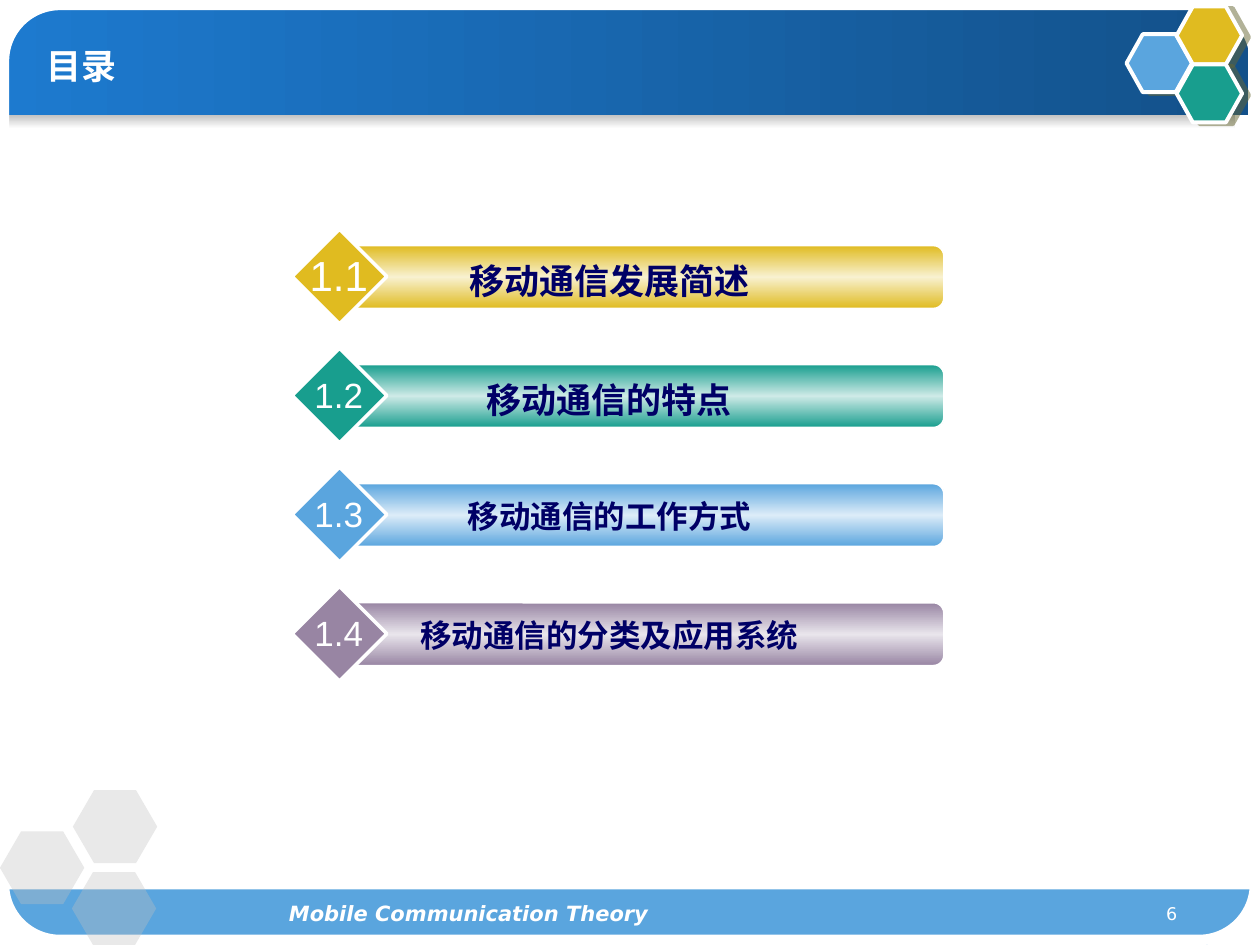
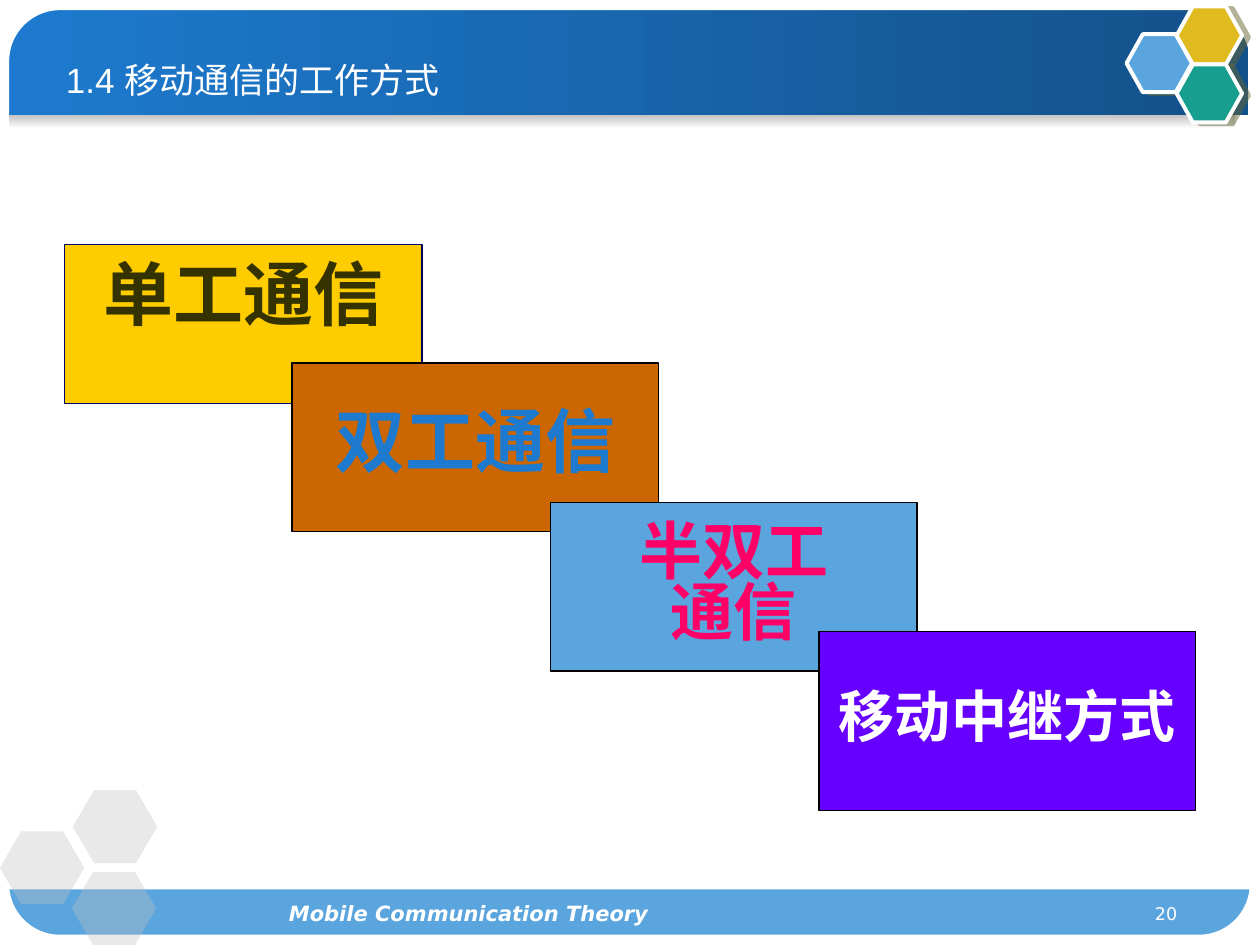
from copy import deepcopy

from lxml.etree import SubElement
from pptx import Presentation
from pptx.dml.color import RGBColor
from pptx.enum.shapes import MSO_SHAPE
from pptx.enum.text import MSO_ANCHOR, PP_ALIGN
from pptx.oxml.ns import qn
from pptx.util import Cm, Pt

WHITE = RGBColor(0xFF, 0xFF, 0xFF)
BLACK = RGBColor(0x00, 0x00, 0x00)
SILVER = RGBColor(0xC0, 0xC0, 0xC0)
BLUE = RGBColor(0x1D, 0x7A, 0xCF)
DEEP_BLUE = RGBColor(0x13, 0x51, 0x8A)
SKY = RGBColor(0x5A, 0xA5, 0xDE)
PALE_SKY = RGBColor(0xDC, 0xEC, 0xF8)
GOLD = RGBColor(0xE0, 0xBB, 0x20)
PALE_GOLD = RGBColor(0xF8, 0xF1, 0xD0)
TEAL = RGBColor(0x18, 0x9E, 0x8E)
PALE_TEAL = RGBColor(0xCE, 0xEA, 0xE7)
MAUVE = RGBColor(0x98, 0x85, 0xA3)
PALE_MAUVE = RGBColor(0xE9, 0xE5, 0xEC)
NAVY = RGBColor(0x00, 0x00, 0x66)
YELLOW = RGBColor(0xFF, 0xCC, 0x00)
OLIVE = RGBColor(0x34, 0x33, 0x00)
ORANGE = RGBColor(0xCC, 0x66, 0x00)
PINK = RGBColor(0xFF, 0x00, 0x66)
VIOLET = RGBColor(0x66, 0x00, 0xFF)

HEADING_FONT = "Arial"
BODY_FONT = "DejaVu Sans"
ACROSS, DOWN = 0, 270

CORNERS = [
    [(0, 1.24), (0.33, 0.64), (0.69, 0.15), (1.22, 0), (0, 0)],
    [(1.07, 19.05), (0.51, 18.62), (0.1, 18.21), (0, 17.58), (0, 19.05)],
    [(25.4, 17.75), (25.1, 18.39), (24.77, 18.87), (24.31, 19.05), (25.4, 19.05)],
    [(24.13, 0), (24.77, 0.36), (25.25, 0.74), (25.4, 1.27), (25.4, 0)],
]
BADGE_HEXAGONS = [(22.71, 0.69, SKY), (23.72, 0.13, GOLD), (23.72, 1.3, TEAL)]
FAINT_HEXAGONS = [(0, 16.76), (1.47, 15.93), (1.45, 17.58)]

TOPICS = [
    ("1.1", 24, "移动通信发展简述", 20, GOLD, PALE_GOLD),
    ("1.2", 20, "移动通信的特点", 20, TEAL, PALE_TEAL),
    ("1.3", 20, "移动通信的工作方式", 18, SKY, PALE_SKY),
    ("1.4", 20, "移动通信的分类及应用系统", 18, MAUVE, PALE_MAUVE),
]
TOPIC_TOP, TOPIC_STEP = 4.95, 2.4

MODES = [
    ((1.3, 4.93, 7.21, 3.2), ["单工通信"], 40, OLIVE, YELLOW, NAVY, MSO_ANCHOR.TOP, 1.0),
    ((5.89, 7.32, 7.39, 3.4), ["双工通信"], 40, BLUE, ORANGE, BLACK, MSO_ANCHOR.MIDDLE, 0.8),
    ((11.1, 10.13, 7.39, 3.4), ["半双工", "通信"], 36, PINK, SKY, BLACK, MSO_ANCHOR.MIDDLE, 0.8),
    ((16.51, 12.73, 7.59, 3.61), ["移动中继方式"], 32, WHITE, VIOLET, BLACK, MSO_ANCHOR.MIDDLE, 0.8),
]


class Deck:
    def __init__(self):
        self.presentation = Presentation()
        self.presentation.slide_width = Cm(25.4)
        self.presentation.slide_height = Cm(19.05)
        self.slide = None

    def paint(self, shape, fill=None, line=None, width=0.75):
        shape.shadow.inherit = False
        if fill is None:
            shape.fill.background()
        else:
            shape.fill.solid()
            shape.fill.fore_color.rgb = fill
        if line is None:
            shape.line.fill.background()
        else:
            shape.line.color.rgb = line
            shape.line.width = Pt(width)

    def shape(self, kind, box, fill=None, line=None, width=0.75, adjustment=None):
        shape = self.slide.shapes.add_shape(kind, *map(Cm, box))
        self.paint(shape, fill, line, width)
        if adjustment is not None:
            shape.adjustments[0] = adjustment
        return shape

    def gradient(self, shape, colors, angle):
        shape.fill.gradient()
        shape.fill.gradient_angle = angle
        stop_list = shape.element.spPr.find(".//" + qn("a:gsLst"))
        for _ in colors[2:]:
            stop_list.append(deepcopy(stop_list[0]))
        for index, (stop, color) in enumerate(zip(shape.fill.gradient_stops, colors)):
            stop.color.rgb = color
            stop.position = index / (len(colors) - 1)

    def alpha(self, color_element, percent):
        SubElement(color_element, qn("a:alpha"), val=str(percent * 1000))

    def drop_shadow(self, shape):
        effects = shape.element.spPr.find(qn("a:effectLst"))
        shadow = SubElement(effects, qn("a:outerShdw"), dist=str(Pt(4.1)), dir="840000",
                            algn="ctr", rotWithShape="0")
        self.alpha(SubElement(shadow, qn("a:srgbClr"), val="666633"), 50)

    def corner(self, points):
        start, *others = [(Cm(x), Cm(y)) for x, y in points]
        builder = self.slide.shapes.build_freeform(*start)
        builder.add_line_segments(others)
        self.paint(builder.convert_to_shape(), WHITE)

    def set_text(self, shape, lines, size, color, font=HEADING_FONT, bold=False, italic=False,
                 align=PP_ALIGN.CENTER, anchor=MSO_ANCHOR.TOP, spacing=1.0, wrap=True):
        frame = shape.text_frame
        frame.word_wrap = wrap
        frame.vertical_anchor = anchor
        frame.text = "\n".join(lines)
        for paragraph in frame.paragraphs:
            paragraph.alignment = align
            paragraph.line_spacing = spacing
            paragraph.font.name = font
            paragraph.font.size = Pt(size)
            paragraph.font.bold = bold
            paragraph.font.italic = italic
            paragraph.font.color.rgb = color

    def text(self, box, words, size, color, **style):
        self.set_text(self.slide.shapes.add_textbox(*map(Cm, box)), [words], size, color, **style)

    def add_slide(self, title, title_left, title_top, number, bold=False):
        self.slide = self.presentation.slides.add_slide(self.presentation.slide_layouts[6])
        header = self.shape(MSO_SHAPE.RECTANGLE, (0, 0.03, 25.17, 2.29))
        self.gradient(header, [BLUE, DEEP_BLUE], ACROSS)
        self.shape(MSO_SHAPE.RECTANGLE, (0, 17.93, 25.35, 1.12), SKY)
        header_shade = self.shape(MSO_SHAPE.RECTANGLE, (0, 2.31, 24.89, 0.28))
        self.gradient(header_shade, [SILVER, WHITE], DOWN)
        self.shape(MSO_SHAPE.ROUNDED_RECTANGLE, (0.08, 0.1, 25.22, 18.85),
                   line=WHITE, width=6, adjustment=0.06)
        for points in CORNERS:
            self.corner(points)
        for left, top, color in BADGE_HEXAGONS:
            hexagon = self.shape(MSO_SHAPE.HEXAGON, (left, top, 1.32, 1.17), color, WHITE, 2.25, 0.28)
            self.drop_shadow(hexagon)
        for left, top in FAINT_HEXAGONS:
            hexagon = self.shape(MSO_SHAPE.HEXAGON, (left, top, 1.7, 1.47), SILVER, adjustment=0.29)
            self.alpha(hexagon.element.spPr.find(".//" + qn("a:srgbClr")), 35)
        self.text((22.91, 18.08, 1.07, 0.64), number, 10, WHITE, font=BODY_FONT, align=PP_ALIGN.RIGHT)
        self.text((3.71, 18.03, 11.48, 0.89), "Mobile Communication Theory", 12, WHITE,
                  font=BODY_FONT, bold=True, italic=True)
        self.text((title_left, title_top, 20.6, 1.57), title, 20, WHITE, bold=bold,
                  align=PP_ALIGN.LEFT, anchor=MSO_ANCHOR.MIDDLE)

    def topic(self, top, number, number_size, label, label_size, color, pale):
        bar = self.shape(MSO_SHAPE.ROUNDED_RECTANGLE, (6.96, top, 12.07, 1.27), line=WHITE, width=1)
        self.gradient(bar, [color, pale, color], DOWN)
        self.shape(MSO_SHAPE.DIAMOND, (5.89, top - 0.33, 1.91, 1.91), color, WHITE, 2)
        self.text((7.52, top + 0.15, 9.53, 1.12), label, label_size, NAVY, bold=True)
        self.text((5.99, top - 0.04, 1.68, 1.27), number, number_size, WHITE,
                  anchor=MSO_ANCHOR.MIDDLE, wrap=False)

    def mode(self, box, lines, size, color, fill, line, anchor, spacing):
        card = self.shape(MSO_SHAPE.RECTANGLE, box, fill, line)
        self.set_text(card, lines, size, color, font=BODY_FONT, bold=True, anchor=anchor, spacing=spacing)


def main():
    deck = Deck()
    deck.add_slide("目录", 0.69, 0.53, "6", bold=True)
    for index, topic in enumerate(TOPICS):
        deck.topic(TOPIC_TOP + index * TOPIC_STEP, *topic)

    deck.add_slide("1.4 移动通信的工作方式", 1.08, 0.82, "20")
    for mode in MODES:
        deck.mode(*mode)
    deck.presentation.save("out.pptx")


if __name__ == "__main__":
    main()
